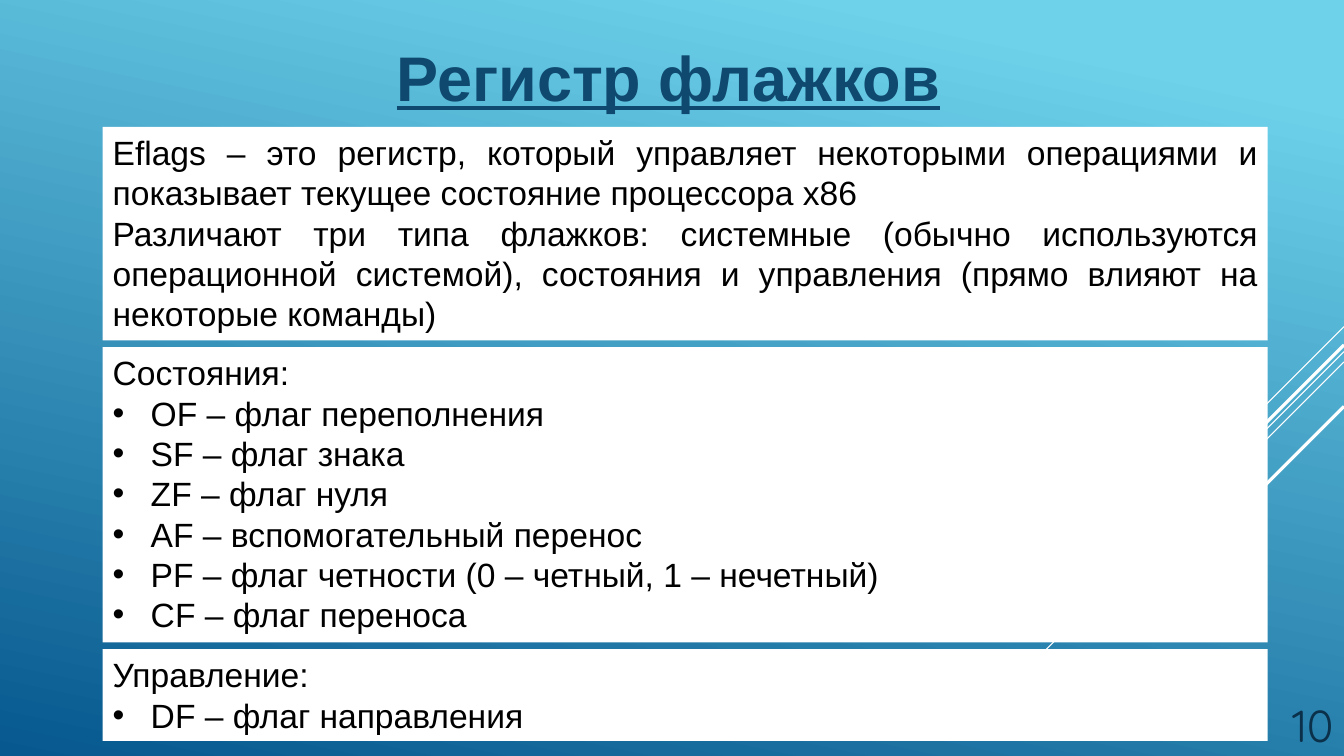
import pptx
import pptx.util
import pptx.dml.color
import pptx.enum.shapes
import pptx.enum.text
import pptx.oxml
import pptx.oxml.ns
from dataclasses import dataclass

Cm, Pt = pptx.util.Cm, pptx.util.Pt
ALIGN = pptx.enum.text.PP_ALIGN
ANCHOR = pptx.enum.text.MSO_ANCHOR


@dataclass(frozen=True)
class Theme:
    sky: str = "6ED2EB"
    deep: str = "06588E"
    white: str = "FFFFFF"
    head: str = "0F496F"
    page: str = "0A304A"
    text: str = "000000"
    font: str = "Arial"
    digit: str = "Quicksand"
    big: int = 45
    mid: int = 32
    body: int = 24
    thin: float = 0.75
    thick: float = 2.25


THEME = Theme()

TITLE = "Регистр флажков"
PAGE = "10"
# Each panel: height in cm, plain paragraphs, bulleted paragraphs
PANELS = [
    (5.38, ["Eflags – это регистр, который управляет некоторыми операциями и "
            "показывает текущее состояние процессора x86",
            "Различают три типа флажков: системные (обычно используются "
            "операционной системой), состояния и управления (прямо влияют на "
            "некоторые команды)"], []),
    (7.44, ["Состояния:"],
     ["OF – флаг переполнения", "SF – флаг знака", "ZF – флаг нуля",
      "AF – вспомогательный перенос",
      "PF – флаг четности (0 – четный, 1 – нечетный)",
      "CF – флаг переноса"]),
    (2.31, ["Управление:"], ["DF – флаг направления"]),
]
# Each ray: start height at the right edge, run to the lower left, weight
RAYS = [
    (8.23, 2.54, THEME.thin),
    (8.86, 8.28, THEME.thin),
    (9.12, 5.28, THEME.thin),
    (8.69, 4.85, THEME.thick),
    (10.24, 3.53, THEME.thick),
]
WIDE, HIGH = 33.87, 19.05
LEFT, TOP, SPAN, GAP = 2.59, 3.2, 29.36, 0.17
INDENT = 0.96


def rgb(code):
    return pptx.dml.color.RGBColor.from_string(code)


def mark(para):
    """Give the paragraph a round bullet with a hanging indent."""
    props = para._p.get_or_add_pPr()
    props.set("marL", str(Cm(INDENT)))
    props.set("indent", str(-Cm(INDENT)))
    for tag, key, val in (("buFont", "typeface", THEME.font),
                          ("buChar", "char", "•")):
        item = pptx.oxml.ns.qn("a:" + tag)
        props.append(props.makeelement(item, {key: val}))


def write(shape, lines, bullets=(), size=THEME.body, font=THEME.font,
          color=THEME.text, align=ALIGN.JUSTIFY, anchor=ANCHOR.TOP,
          bold=False, line=False):
    frame = shape.text_frame
    frame.word_wrap = True
    frame.vertical_anchor = anchor
    rows = [*lines, *bullets]
    for i, words in enumerate(rows):
        para = frame.add_paragraph() if i else frame.paragraphs[0]
        para.alignment = align
        if i >= len(lines):
            mark(para)
        run = para.add_run()
        run.text = words
        run.font.size = Pt(size)
        run.font.name = font
        run.font.bold = bold
        run.font.underline = line
        run.font.color.rgb = rgb(color)


def paint(slide):
    fill = slide.background.fill
    fill.gradient()
    fill.gradient_angle = 258
    tints = ((0.1, THEME.sky), (1, THEME.deep))
    for stop, (place, color) in zip(fill.gradient_stops, tints):
        stop.position = place
        stop.color.rgb = rgb(color)


def add_ray(slide, top, run, weight):
    ray = slide.shapes.add_connector(
        pptx.enum.shapes.MSO_CONNECTOR.STRAIGHT,
        Cm(WIDE), Cm(top), Cm(WIDE - run), Cm(top + run))
    ray.line.color.rgb = rgb(THEME.white)
    ray.line.width = Pt(weight)
    props = ray._element.spPr
    props.append(props.makeelement(pptx.oxml.ns.qn("a:effectLst"), {}))


def add_panel(slide, top, height):
    panel = slide.shapes.add_shape(
        pptx.enum.shapes.MSO_SHAPE.RECTANGLE,
        Cm(LEFT), Cm(top), Cm(SPAN), Cm(height))
    panel.shadow.inherit = False
    panel.fill.solid()
    panel.fill.fore_color.rgb = rgb(THEME.white)
    panel.line.fill.background()
    return panel


def main():
    deck = pptx.Presentation()
    deck.slide_width, deck.slide_height = Cm(WIDE), Cm(HIGH)
    slide = deck.slides.add_slide(deck.slide_layouts[6])
    paint(slide)
    for ray in RAYS:
        add_ray(slide, *ray)

    title = slide.shapes.add_textbox(Cm(1.73), Cm(0.84), Cm(30.23), Cm(2.18))
    write(title, [TITLE], size=THEME.big, color=THEME.head,
          align=ALIGN.CENTER, bold=True, line=True)
    page = slide.shapes.add_textbox(Cm(30.68), Cm(17.2), Cm(3.18), Cm(1.85))
    write(page, [PAGE], size=THEME.mid, font=THEME.digit, color=THEME.page,
          align=ALIGN.RIGHT, anchor=ANCHOR.BOTTOM)

    top = TOP
    for height, lines, bullets in PANELS:
        write(add_panel(slide, top, height), lines, bullets)
        top += height + GAP
    deck.save("out.pptx")


if __name__ == "__main__":
    main()
